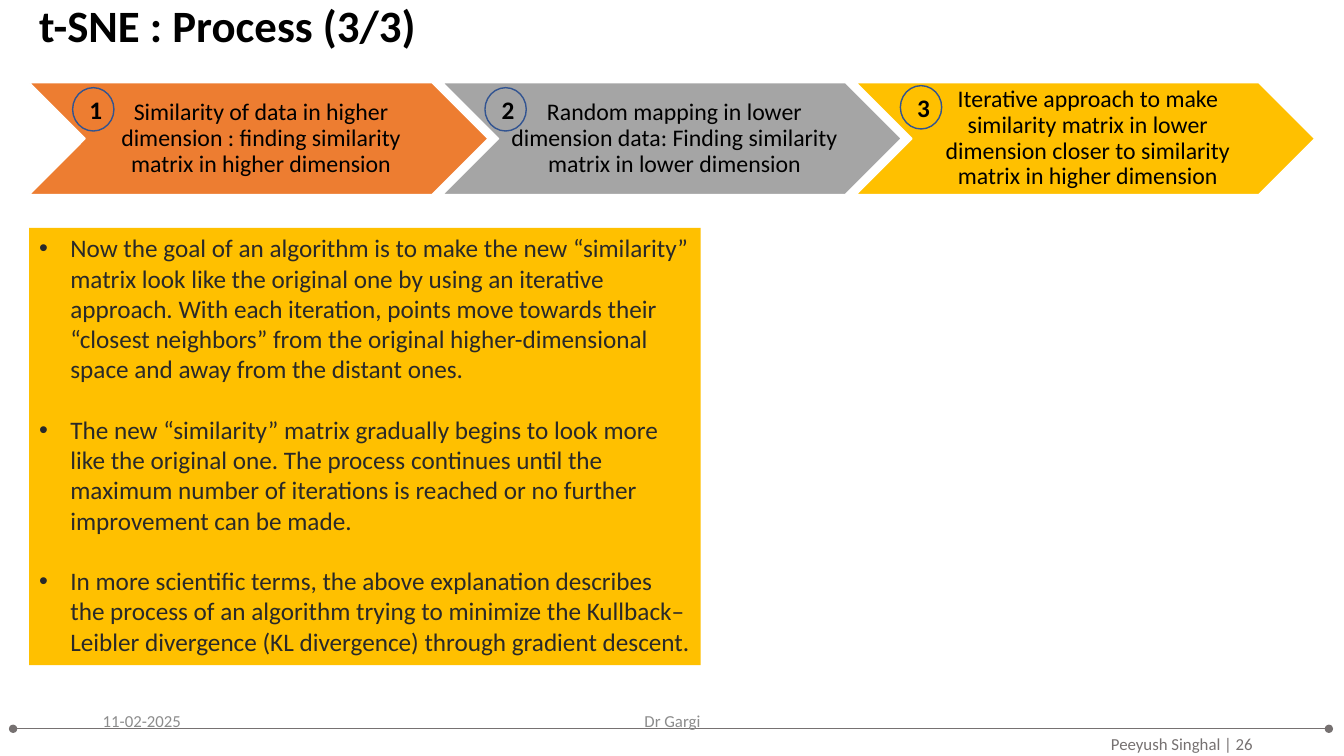
"""Builds the t-SNE process slide with three step chevrons and an explanation panel."""
from lxml import etree
from pptx import Presentation
from pptx.dml.color import RGBColor
from pptx.enum.shapes import MSO_CONNECTOR, MSO_SHAPE
from pptx.enum.text import MSO_ANCHOR as Anchor, PP_ALIGN as Align
from pptx.oxml.ns import qn
from pptx.util import Inches, Pt

TITLE = "t-SNE : Process (3/3)"
STEPS = [
    ("Similarity of data in higher dimension : finding similarity matrix in higher dimension",
     "ED7D31", (0.72, 0.87)),
    ("Random mapping in lower dimension data: Finding similarity matrix in lower dimension",
     "A5A5A5", (4.81, 0.87)),
    ("Iterative approach to make similarity matrix in lower dimension closer to similarity "
     "matrix in higher dimension", "FFC000", (8.93, 0.85)),
]
POINTS = [
    "Now the goal of an algorithm is to make the new “similarity” matrix look like the original "
    "one by using an iterative approach. With each iteration, points move towards their “closest "
    "neighbors” from the original higher-dimensional space and away from the distant ones.",
    "The new “similarity” matrix gradually begins to look more like the original one. The process "
    "continues until the maximum number of iterations is reached or no further improvement can be "
    "made.",
    "In more scientific terms, the above explanation describes the process of an algorithm trying "
    "to minimize the Kullback–Leibler divergence (KL divergence) through gradient descent.",
]
FOOTERS = [
    ("Peeyush Singhal | 26", (10.92, 7.23, 2.21, 0.3), "767171", Align.LEFT, Anchor.TOP),
    ("11-02-2025", (0.92, 6.95, 3, 0.4), "8C8C8C", Align.LEFT, Anchor.MIDDLE),
    ("Dr Gargi", (4.42, 6.95, 4.5, 0.4), "8C8C8C", Align.CENTER, Anchor.MIDDLE),
]
STEP_LEFT, STEP_TOP, STEP_PITCH = 0.29, 0.82, 4.1
STEP_WIDTH, STEP_HEIGHT = 4.55, 1.11
LABEL_WIDTH = 3.45


def paint(color_format, color):
    color_format.rgb = RGBColor.from_string(color)


def add_panel(slide, kind, box, fill=None, line=None):
    shape = slide.shapes.add_shape(kind, *map(Inches, box))
    shape.shadow.inherit = False
    if fill:
        shape.fill.solid()
        paint(shape.fill.fore_color, fill)
    else:
        shape.fill.background()
    if line:
        paint(shape.line.color, line)
        shape.line.width = Pt(1)
    else:
        shape.line.fill.background()
    return shape


def set_frame(shape, anchor, insets=(0.1, 0.05, 0.1, 0.05)):
    frame = shape.text_frame
    frame.word_wrap = True
    frame.vertical_anchor = anchor
    (frame.margin_left, frame.margin_top,
     frame.margin_right, frame.margin_bottom) = map(Inches, insets)
    return frame


def write(paragraph, text, size, color="000000", bold=False, align=Align.LEFT, spacing=1.0):
    paragraph.alignment = align
    paragraph.line_spacing = spacing
    run = paragraph.add_run()
    run.text = text
    run.font.name = "Calibri"
    run.font.size = Pt(size)
    run.font.bold = bold
    paint(run.font.color, color)


def add_label(slide, box, text, size, anchor, insets=(0.1, 0.05, 0.1, 0.05), **style):
    shape = slide.shapes.add_textbox(*map(Inches, box))
    write(set_frame(shape, anchor, insets).paragraphs[0], text, size, **style)


def add_bullet(paragraph):
    properties = paragraph._p.get_or_add_pPr()
    properties.set("marL", str(Inches(0.31)))
    properties.set("indent", str(-Inches(0.31)))
    etree.SubElement(properties, qn("a:buFont")).set("typeface", "Arial")
    etree.SubElement(properties, qn("a:buChar")).set("char", "•")


def add_footer_line(slide):
    connector = slide.shapes.add_connector(
        MSO_CONNECTOR.STRAIGHT, *map(Inches, (0.13, 7.23, 13.18, 7.23)))
    paint(connector.line.color, "767171")
    connector.line.width = Pt(0.5)
    outline = connector.line._get_or_add_ln()
    for end in ("a:headEnd", "a:tailEnd"):
        etree.SubElement(outline, qn(end)).set("type", "oval")
    etree.SubElement(connector._element.spPr, qn("a:effectLst"))


def add_steps(slide):
    for index, (text, color, _) in enumerate(STEPS):
        left = STEP_LEFT + index * STEP_PITCH
        add_panel(slide, MSO_SHAPE.CHEVRON, (left, STEP_TOP, STEP_WIDTH, STEP_HEIGHT),
                  color, "FFFFFF")
        label_left = left + (STEP_WIDTH - LABEL_WIDTH) / 2
        add_label(slide, (label_left, STEP_TOP, LABEL_WIDTH, STEP_HEIGHT), text, 17,
                  Anchor.MIDDLE, (0.07, 0.02, 0.02, 0.02), align=Align.CENTER, spacing=0.9)
    for number, (_, _, place) in enumerate(STEPS, 1):
        badge = add_panel(slide, MSO_SHAPE.OVAL, (*place, 0.41, 0.43), line="325491")
        frame = set_frame(badge, Anchor.MIDDLE, (0.05, 0.05, 0, 0.05))
        write(frame.paragraphs[0], str(number), 18, bold=True, align=Align.CENTER)


def add_explanation(slide):
    panel = add_panel(slide, MSO_SHAPE.RECTANGLE, (0.29, 2.26, 6.66, 4.34), "FFC000")
    frame = set_frame(panel, Anchor.TOP)
    for index, text in enumerate(POINTS):
        paragraph = frame.add_paragraph() if index else frame.paragraphs[0]
        add_bullet(paragraph)
        if index:
            paragraph.space_before = Pt(21.6)
        write(paragraph, text, 18, "292929")


def main():
    presentation = Presentation()
    presentation.slide_width, presentation.slide_height = Inches(13.33), Inches(7.5)
    slide = presentation.slides.add_slide(presentation.slide_layouts[6])
    add_footer_line(slide)
    add_label(slide, (0.29, 0.06, 11.5, 0.43), TITLE, 32, Anchor.MIDDLE, bold=True, spacing=0.9)
    add_steps(slide)
    add_explanation(slide)
    for text, box, color, align, anchor in FOOTERS:
        add_label(slide, box, text, 12, anchor, color=color, align=align)
    presentation.save("out.pptx")


if __name__ == "__main__":
    main()
